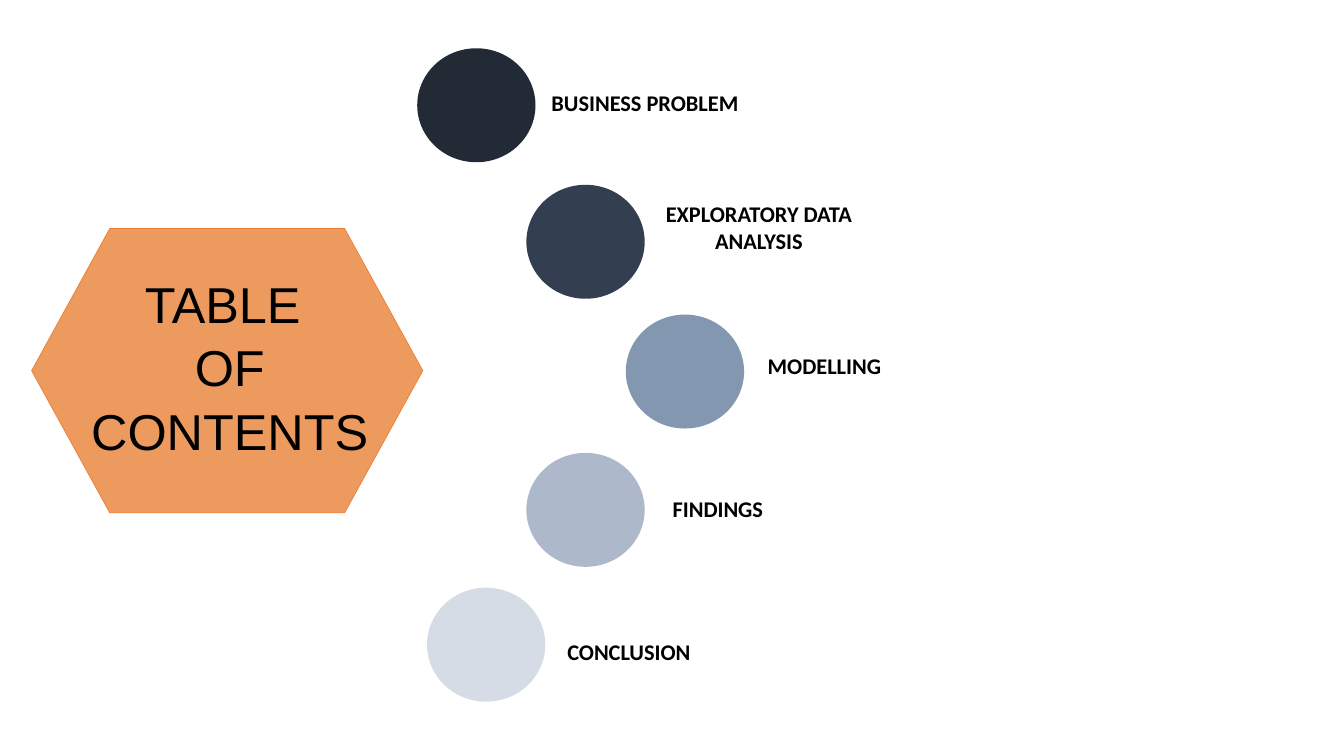
from pptx import Presentation
from pptx.dml.color import RGBColor
from pptx.enum.shapes import MSO_SHAPE
from pptx.enum.text import PP_ALIGN
from pptx.util import Pt

CIRCLE_WIDTH, CIRCLE_HEIGHT = 84.5, 81.4

# circle left, circle top, colour, label, label left, label top, label width, label height
TOPICS = [
    (298, 34.5, "222A35", "BUSINESS PROBLEM", 378.7, 59.8, 164, 26.6),
    (376, 132, "333F50", "EXPLORATORY DATA ANALYSIS", 442.1, 139.7, 200, 46),
    (447, 224.7, "8497B0", "MODELLING", 488.9, 247.7, 200, 26.6),
    (376, 323.5, "ADB9CA", "FINDINGS", 411.8, 349.9, 202, 26.6),
    (305, 419.8, "D6DCE5", "CONCLUSION", 367.2, 452.2, 164, 26.6),
]


def colour(value):
    return RGBColor.from_string(value)


def add_filled_shape(slide, kind, left, top, width, height, fill, line=None):
    shape = slide.shapes.add_shape(kind, Pt(left), Pt(top), Pt(width), Pt(height))
    shape.shadow.inherit = False
    shape.fill.solid()
    shape.fill.fore_color.rgb = colour(fill)
    if line:
        shape.line.color.rgb = colour(line)
        shape.line.width = Pt(0.5)
    else:
        shape.line.fill.background()


def add_text(slide, text, left, top, width, height, size=16, font="Calibri",
             bold=False, spacing=1.0, inset=3.6):
    box = slide.shapes.add_textbox(Pt(left), Pt(top), Pt(width), Pt(height))
    frame = box.text_frame
    frame.word_wrap = True
    frame.margin_top = frame.margin_bottom = Pt(inset)
    frame.text = text
    for paragraph in frame.paragraphs:
        paragraph.alignment = PP_ALIGN.CENTER
        paragraph.line_spacing = spacing
        paragraph.font.size = Pt(size)
        paragraph.font.name = font
        paragraph.font.bold = bold
        paragraph.font.color.rgb = colour("000000")


def main():
    presentation = Presentation()
    presentation.slide_width = Pt(960)
    presentation.slide_height = Pt(540)
    slide = presentation.slides.add_slide(presentation.slide_layouts[6])

    add_filled_shape(slide, MSO_SHAPE.FLOWCHART_PREPARATION, 22.6, 163.2, 279.4, 203.2,
                     "ED9A5F", line="ED7D31")
    add_text(slide, "TABLE \nOF CONTENTS", 43.9, 185.5, 240.5, 140.4,
             size=36, font="Arial", spacing=1.05, inset=7.2)

    for left, top, fill, label, *label_box in TOPICS:
        add_filled_shape(slide, MSO_SHAPE.OVAL, left, top, CIRCLE_WIDTH, CIRCLE_HEIGHT, fill)
        add_text(slide, label, *label_box, bold=True)

    presentation.save("out.pptx")


if __name__ == "__main__":
    main()
